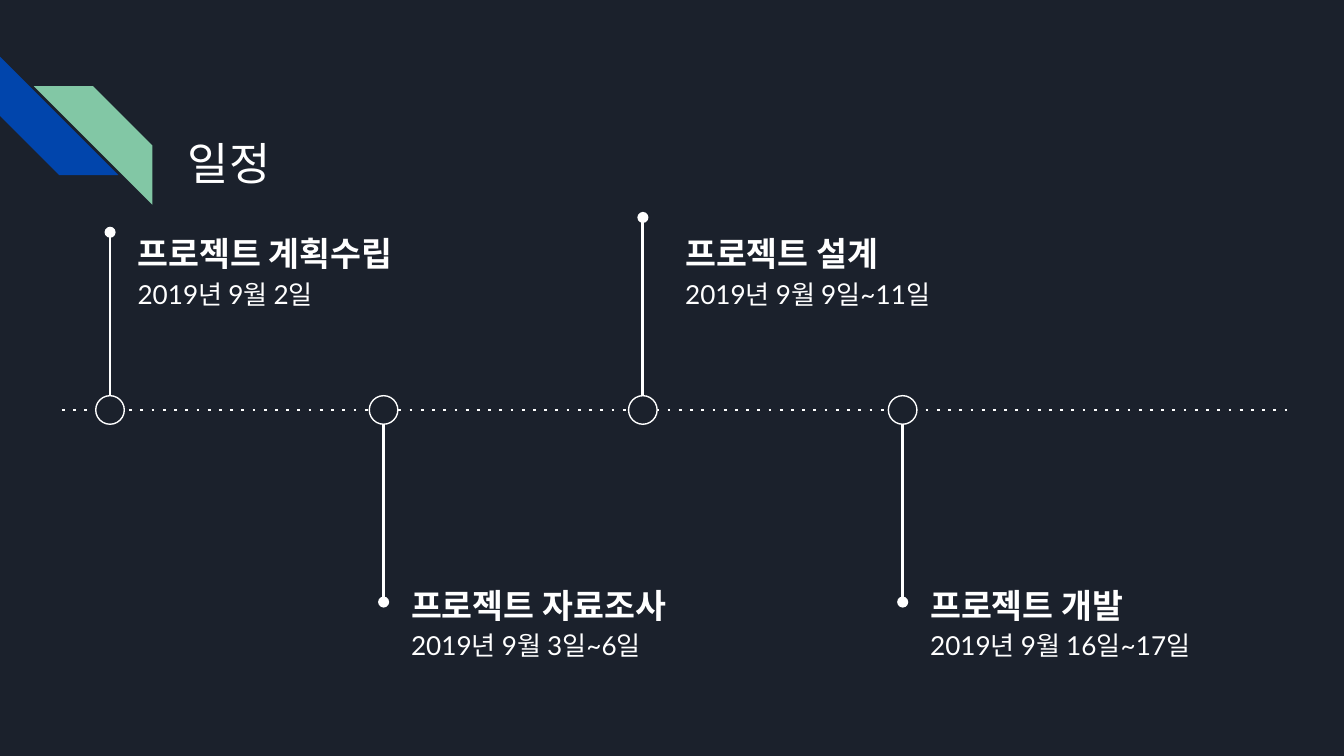
"""Builds the project schedule slide with a dotted timeline."""
from dataclasses import dataclass

from lxml import etree
from pptx import Presentation
from pptx import util as u
from pptx.dml.color import RGBColor
from pptx.enum import shapes, text
from pptx.oxml import ns

TITLE = "일정"
STEPS = [
    {"name": "프로젝트 계획수립", "date": "2019년 9월 2일", "x": 2.08, "end": 4.39, "gap": 0.27},
    {"name": "프로젝트 자료조사", "date": "2019년 9월 3일~6일", "x": 7.25, "end": 11.38, "gap": 0.27},
    {"name": "프로젝트 설계", "date": "2019년 9월 9일~11일", "x": 12.15, "end": 4.11, "gap": 0.55},
    {"name": "프로젝트 개발", "date": "2019년 9월 16일~17일", "x": 17.06, "end": 11.38, "gap": 0.27},
]


@dataclass(frozen=True)
class Theme:
    back: str = "1B212C"
    ink: str = "FFFFFF"
    blue: str = "0145AC"
    green: str = "82C7A5"
    head: str = "Montserrat"
    body: str = "Lato"
    title: int = 24
    name: int = 18
    date: int = 14


T = Theme()
STRIPES = [(0, 1.07, 270, T.blue), (0.64, 1.63, 90, T.green)]
STRIPE = 2.24
AXIS, LEFT, RIGHT = 7.75, 1.17, 24.33
RADIUS = 0.27
UP, DOWN = 4.04, 10.69
WIDE, HIGH = 7.39, 2.69


def color(code):
    return RGBColor.from_string(code)


def box(*sides):
    return [u.Cm(side) for side in sides]


def write(para, words, size, font=T.body, bold=False, space=None, after=0):
    run = para.add_run()
    run.text = words
    run.font.name, run.font.size, run.font.bold = font, u.Pt(size), bold
    run.font.color.rgb = color(T.ink)
    para.alignment = text.PP_ALIGN.LEFT
    para.line_spacing = space
    para.space_before, para.space_after = u.Pt(0), u.Pt(after)


def frame(shape):
    area = shape.text_frame
    area.word_wrap = True
    area.auto_size = text.MSO_AUTO_SIZE.NONE
    area.vertical_anchor = text.MSO_ANCHOR.TOP
    area.margin_left = area.margin_right = u.Cm(0.25)
    area.margin_top = area.margin_bottom = u.Cm(0.25)
    return area


def draw(slide, kind, sides, fill, line=None):
    shape = slide.shapes.add_shape(kind, *box(*sides))
    shape.shadow.inherit = False
    shape.fill.solid()
    shape.fill.fore_color.rgb = color(fill)
    if line:
        shape.line.color.rgb = color(line)
        shape.line.width = u.Pt(0.75)
    else:
        shape.line.fill.background()
    return shape


def rule(slide, ends, tag, **attrs):
    line = slide.shapes.add_connector(shapes.MSO_CONNECTOR.STRAIGHT, *box(*ends))
    line.line.color.rgb = color(T.ink)
    line.line.width = u.Pt(1.5)
    props = line.element.spPr
    etree.SubElement(props.find(ns.qn("a:ln")), ns.qn(tag), **attrs)
    etree.SubElement(props, ns.qn("a:effectLst"))


def mark(slide, step):
    x, end = step["x"], step["end"]
    above = end < AXIS
    edge = AXIS - RADIUS if above else AXIS + RADIUS
    rule(slide, (x, edge, x, end), "a:tailEnd", type="oval")
    draw(slide, shapes.MSO_SHAPE.OVAL,
         (x - RADIUS, AXIS - RADIUS, 2 * RADIUS, 2 * RADIUS), T.back, T.ink)
    top = UP if above else DOWN
    label = slide.shapes.add_textbox(*box(x + step["gap"], top, WIDE, HIGH))
    area = frame(label)
    write(area.paragraphs[0], step["name"], T.name, bold=True, space=1.15)
    write(area.add_paragraph(), step["date"], T.date, space=1.15, after=16)


def main():
    deck = Presentation()
    deck.slide_width, deck.slide_height = box(25.4, 14.29)
    slide = deck.slides.add_slide(deck.slide_layouts[5])
    slide.background.fill.solid()
    slide.background.fill.fore_color.rgb = color(T.back)

    for left, top, turn, fill in STRIPES:
        shape = draw(slide, shapes.MSO_SHAPE.DIAGONAL_STRIPE,
                     (left, top, STRIPE, STRIPE), fill)
        shape.rotation = turn

    title = slide.shapes.title
    title.left, title.top, title.width, title.height = box(3.3, 2.31, 19.56, 1.73)
    write(frame(title).paragraphs[0], TITLE, T.title, font=T.head)

    rule(slide, (LEFT, AXIS, RIGHT, AXIS), "a:prstDash", val="dot")
    for step in STEPS:
        mark(slide, step)
    deck.save("out.pptx")


if __name__ == "__main__":
    main()
